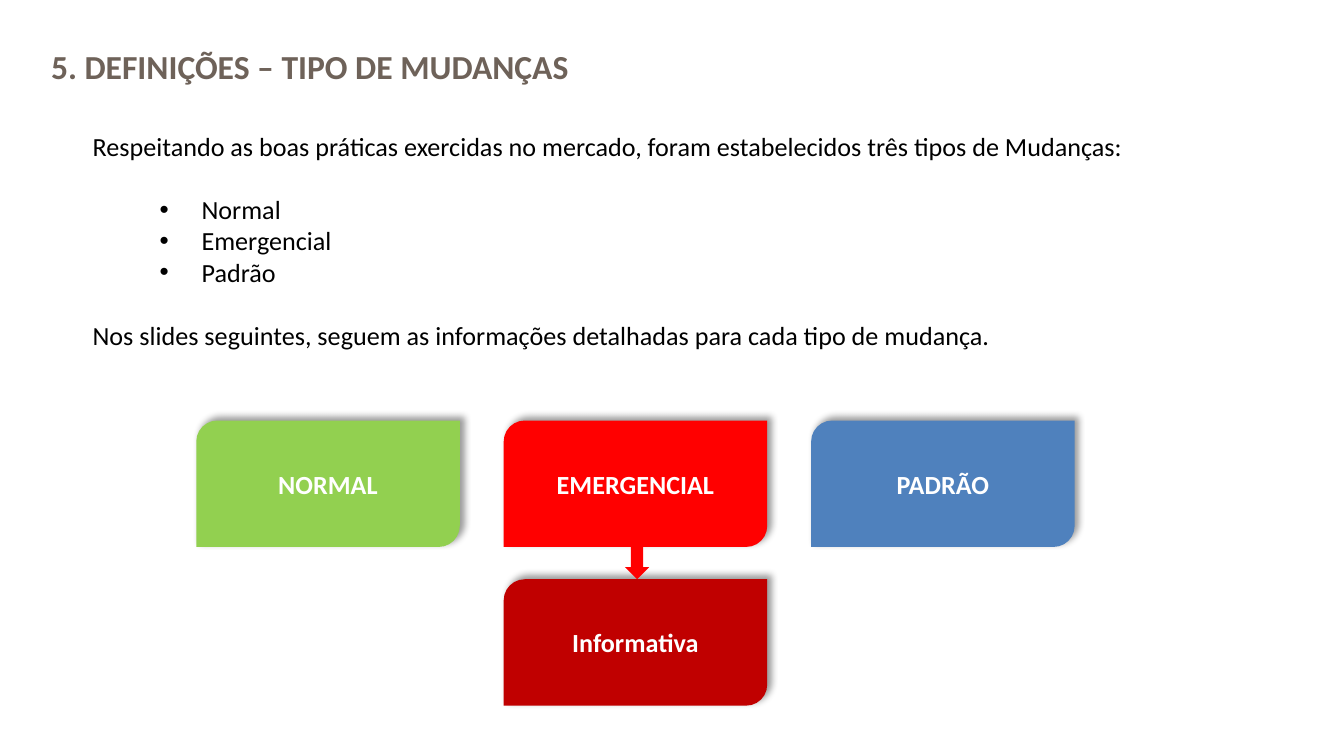
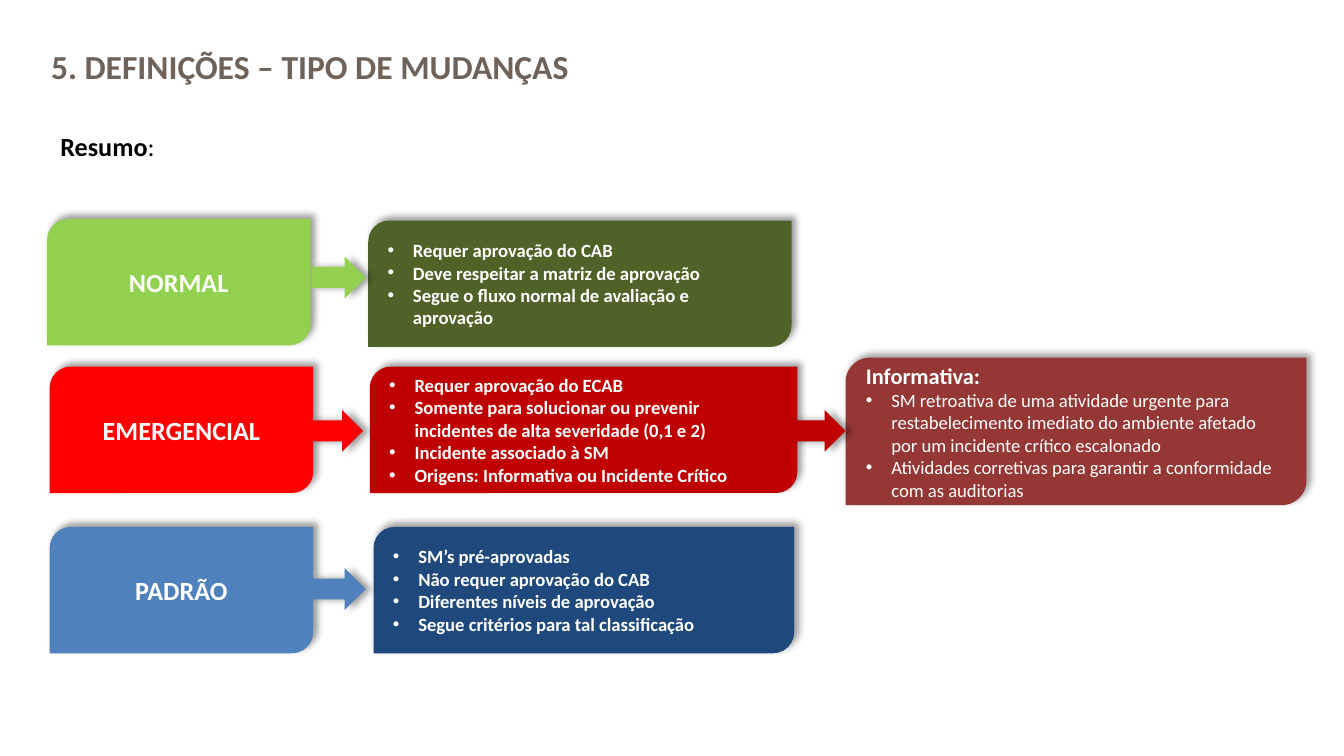
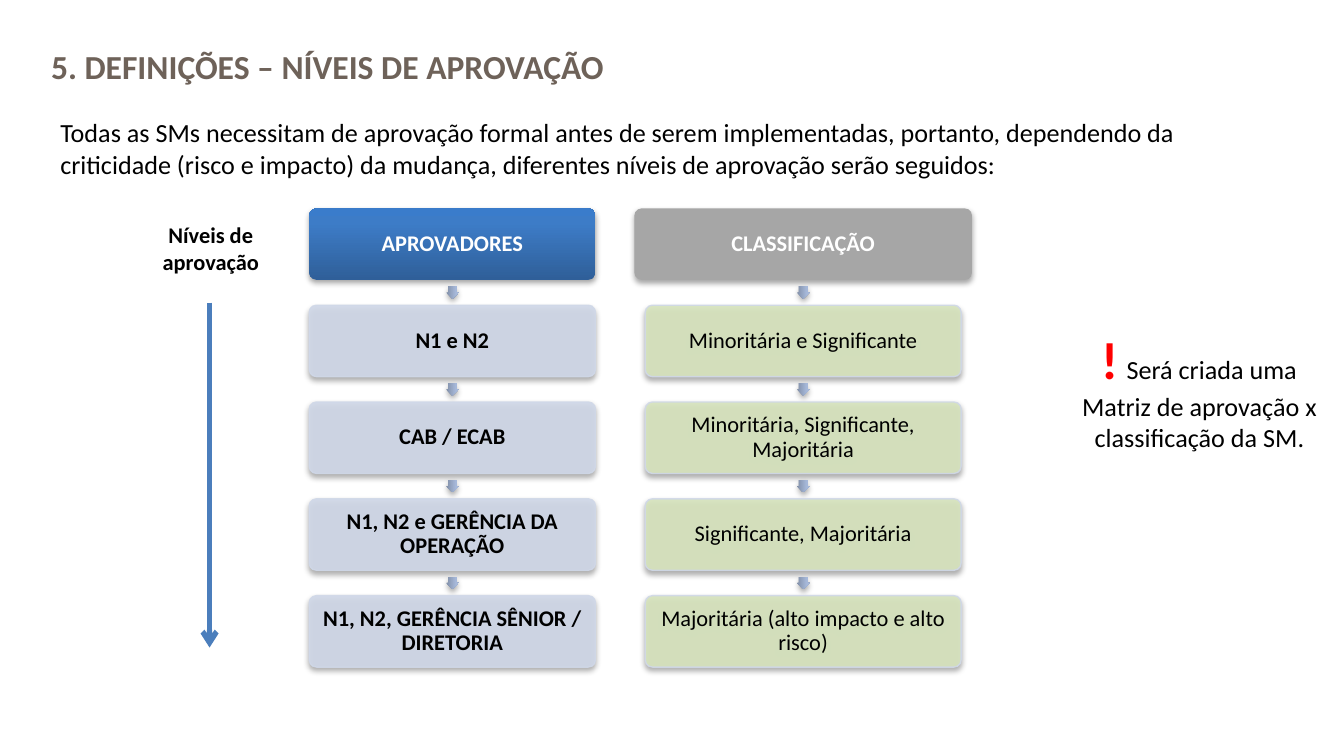
import pptx
import pptx.dml.color
import pptx.enum.shapes
import pptx.enum.text
import pptx.oxml
import pptx.oxml.ns
import pptx.util
from lxml import etree

Cm, Pt = pptx.util.Cm, pptx.util.Pt
SHAPE = pptx.enum.shapes.MSO_SHAPE
ALIGN = pptx.enum.text.PP_ALIGN
ANCHOR = pptx.enum.text.MSO_ANCHOR
qn = pptx.oxml.ns.qn

# Shared look
FONT = "Calibri"
TITLE, BLACK, WHITE = "6E6259", "000000", "FFFFFF"
GREEN, RED, DARK_RED, BLUE = "92D050", "FF0000", "C00000", "4F81BD"
CARD_SIZE = (4.98, 2.39)
ARROW_SIZE = (1.02, 0.79)
CARD_SHADOW = (40, 4, 3, 315)     # opacity %, blur pt, distance pt, angle
ARROW_SHADOW = (40, 4, 3, 0)
LEVEL_SHADOW = (35, 3.1, 1.8, 90)

# Content: places are in cm
TYPES_TITLE = "5. DEFINIÇÕES – TIPO DE MUDANÇAS"
LEVELS_TITLE = "5. DEFINIÇÕES – NÍVEIS DE APROVAÇÃO"

TYPES_INTRO = "Respeitando as boas práticas exercidas no mercado, foram estabelecidos três tipos de Mudanças:"
TYPES = ["Normal", "Emergencial", "Padrão"]
TYPES_CLOSING = "Nos slides seguintes, seguem as informações detalhadas para cada tipo de mudança."
TYPE_COLOURS = [GREEN, RED, BLUE]

SUMMARY = [
    # type place, arrow place, details place and width, details colour, details
    ((0.89, 4.14), (5.89, 4.85), (6.96, 4.17, 8.0), "4F6228",
     ["Requer aprovação do CAB", "Deve respeitar a matriz de aprovação",
      "Segue o fluxo normal de avaliação e aprovação"]),
    ((0.94, 6.93), (5.84, 7.75), (6.99, 6.93, 8.08), DARK_RED,
     ["Requer aprovação do ECAB",
      "Somente para solucionar ou prevenir incidentes de alta severidade (0,1 e 2)",
      "Incidente associado à SM", "Origens: Informativa ou Incidente Crítico"]),
    ((0.94, 9.96), (5.89, 10.74), (7.06, 9.96, 7.95), "1F497D",
     ["SM’s pré-aprovadas", "Não requer aprovação do CAB",
      "Diferentes níveis de aprovação", "Segue critérios para tal classificação"]),
]
INFORMATIVE = [
    "SM retroativa de uma atividade urgente para restabelecimento imediato do ambiente "
    "afetado por um incidente crítico escalonado",
    "Atividades corretivas para garantir a conformidade com as auditorias",
]

LEVELS_INTRO = ("Todas as SMs necessitam de aprovação formal antes de serem implementadas, "
                "portanto, dependendo da criticidade (risco e impacto) da mudança, "
                "diferentes níveis de aprovação serão seguidos:")
HEADER_GRADIENT = [(0, "2F5F99"), (80, "3D7CC7"), (100, "3A7CCB")]
STEP_GRADIENT = [(0, "818FA8"), (80, "A7B9DA"), (100, "A7BADC")]
LEVEL_COLUMNS = [
    {"centre": 8.55, "header_width": 5.41, "width": 5.41, "header_fill": HEADER_GRADIENT,
     "fill": "D0D8E8", "bold": True, "header": "APROVADORES",
     "levels": ["N1 e N2", "CAB / ECAB", "N1, N2 e GERÊNCIA DA OPERAÇÃO",
                "N1, N2, GERÊNCIA SÊNIOR / DIRETORIA"]},
    {"centre": 15.18, "header_width": 6.38, "width": 5.97, "header_fill": "A6A6A6",
     "fill": "D7E4BD", "bold": False, "header": "CLASSIFICAÇÃO",
     "levels": ["Minoritária e Significante", "Minoritária, Significante, Majoritária",
                "Significante, Majoritária", "Majoritária (alto impacto e alto risco)"]},
]
MATRIX_NOTE = [("!", 28, RED, True), (" ", 18, BLACK, False),
               ("Será criada uma Matriz de aprovação x classificação da SM.", 14, BLACK, False)]


def rgb(colour):
    return pptx.dml.color.RGBColor.from_string(colour)


def set_font(font, size, colour, bold=False):
    font.name, font.size, font.bold = FONT, Pt(size), bold
    font.color.rgb = rgb(colour)


def para(text, size=14, colour=BLACK, bold=False, **options):
    """A paragraph: text is a string, or a list of (text, size, colour, bold) runs."""
    return {"text": text, "font": (size, colour, bold), **options}


def write(frame, paragraphs, align=ALIGN.LEFT):
    for i, item in enumerate(paragraphs):
        paragraph = frame.paragraphs[0] if i == 0 else frame.add_paragraph()
        paragraph.alignment = align
        if "before" in item:
            paragraph.space_before = Pt(item["before"])
        if "spacing" in item:
            paragraph.line_spacing = item["spacing"]
        if "bullet" in item:
            margin, hanging = item["bullet"]
            properties = paragraph._p.get_or_add_pPr()
            properties.set("marL", str(Cm(margin)))
            properties.set("indent", str(-Cm(hanging)))
            etree.SubElement(properties, qn("a:buFont"), typeface="Arial")
            etree.SubElement(properties, qn("a:buChar"), char="•")
        if isinstance(item["text"], str):
            paragraph.add_run().text = item["text"]
            set_font(paragraph.font, *item["font"])
        else:
            for text, *font in item["text"]:
                run = paragraph.add_run()
                run.text = text
                set_font(run.font, *font)


def add_slide(title, width):
    slide = deck.slides.add_slide(deck.slide_layouts[5])
    heading = slide.shapes.title
    heading.left, heading.top, heading.width, heading.height = Cm(0.71), Cm(0.74), Cm(width), Cm(1.02)
    frame = heading.text_frame
    frame.word_wrap = False
    frame.auto_size = pptx.enum.text.MSO_AUTO_SIZE.SHAPE_TO_FIT_TEXT
    frame.vertical_anchor = ANCHOR.TOP
    write(frame, [para(title, 18, TITLE, True)])
    return slide


def add_text(slide, place, paragraphs, align=ALIGN.LEFT):
    frame = slide.shapes.add_textbox(*map(Cm, place)).text_frame
    frame.word_wrap = True
    frame.auto_size = pptx.enum.text.MSO_AUTO_SIZE.SHAPE_TO_FIT_TEXT
    write(frame, paragraphs, align)


def add_block(slide, kind, place, fill, shadow=None, outline=None, opacity=None):
    block = slide.shapes.add_shape(kind, *map(Cm, place))
    properties = block._element.spPr
    if isinstance(fill, str):
        block.fill.solid()
        block.fill.fore_color.rgb = rgb(fill)
    else:
        block.fill.gradient()
        block.fill.gradient_angle = 90
        stops = properties.find(".//" + qn("a:gsLst"))
        stops.clear()
        for position, colour in fill:
            stop = etree.SubElement(stops, qn("a:gs"), pos=str(position * 1000))
            etree.SubElement(stop, qn("a:srgbClr"), val=colour)
    if outline:
        block.line.color.rgb = rgb(outline)
        block.line.width = Pt(0.75)
    else:
        block.line.fill.background()
    if opacity:
        for colour in properties.iter(qn("a:srgbClr")):
            etree.SubElement(colour, qn("a:alpha"), val=str(opacity * 1000))
    block.shadow.inherit = False
    if shadow:
        strength, blur, distance, angle = shadow
        outer = etree.SubElement(
            properties.find(qn("a:effectLst")), qn("a:outerShdw"), blurRad=str(Pt(blur)),
            dist=str(Pt(distance)), dir=str(angle * 60000), algn="ctr", rotWithShape="0")
        colour = etree.SubElement(outer, qn("a:srgbClr"), val=BLACK)
        etree.SubElement(colour, qn("a:alpha"), val=str(strength * 1000))
    return block


def add_card(slide, place, fill, paragraphs, align=ALIGN.LEFT):
    card = add_block(slide, SHAPE.ROUND_2_DIAG_RECTANGLE, place, fill, CARD_SHADOW)
    card.text_frame.word_wrap = True
    card.text_frame.vertical_anchor = ANCHOR.MIDDLE
    write(card.text_frame, paragraphs, align)


def add_type(slide, place, fill, name):
    add_card(slide, (*place, *CARD_SIZE), fill, [para(name, 14, WHITE, True)], ALIGN.CENTER)


def add_arrow(slide, place, fill):
    add_block(slide, SHAPE.RIGHT_ARROW, (*place, *ARROW_SIZE), fill, ARROW_SHADOW)


def card_bullets(texts, bold):
    return [para(text, 10, WHITE, bold, bullet=(0.48, 0.48)) for text in texts]


def add_level(slide, centre, top, width, fill, text, colour, bold, **look):
    level = add_block(slide, SHAPE.ROUNDED_RECTANGLE, (centre - width / 2, top, width, 1.35),
                      fill, LEVEL_SHADOW, **look)
    level.adjustments[0] = 0.1
    frame = level.text_frame
    frame.word_wrap = True
    frame.vertical_anchor = ANCHOR.MIDDLE
    frame.margin_left = frame.margin_right = frame.margin_top = frame.margin_bottom = Cm(0.05)
    write(frame, [para(text, 12, colour, bold, spacing=0.9)], ALIGN.CENTER)


def build_types():
    slide = add_slide(TYPES_TITLE, 13.54)
    left, top, pitch = 3.71, 7.95, 5.81
    for i, (name, colour) in enumerate(zip(TYPES, TYPE_COLOURS)):
        add_type(slide, (left + i * pitch, top), colour, name.upper())
    add_type(slide, (left + pitch, 10.95), DARK_RED, "Informativa")
    add_block(slide, SHAPE.DOWN_ARROW, (11.81, 10.34, 0.46, 0.61), RED)

    # One blank line's height before the list and before the closing sentence
    gap = 17
    names = [para(name, bullet=(2.06, 0.79)) for name in TYPES]
    names[0]["before"] = gap
    add_text(slide, (1.5, 2.34, 20.4, 4.45),
             [para(TYPES_INTRO), *names, para(TYPES_CLOSING, before=gap)])


def build_summary():
    slide = add_slide(TYPES_TITLE, 13.54)
    add_text(slide, (0.89, 2.34, 20.4, 0.86),
             [para([("Resumo", 14, BLACK, True), (":", 14, BLACK, False)])])
    for name, colour, row in zip(TYPES, TYPE_COLOURS, SUMMARY):
        type_place, arrow_place, details_place, details_colour, details = row
        add_type(slide, type_place, colour, name.upper())
        add_card(slide, (*details_place, CARD_SIZE[1]), details_colour, card_bullets(details, True))
        add_arrow(slide, arrow_place, colour)
    add_card(slide, (15.98, 6.76, 8.71, 2.79), "953735",
             [para("Informativa:", 12, WHITE, True), *card_bullets(INFORMATIVE, False)])
    add_arrow(slide, (14.96, 7.75), DARK_RED)


def build_levels():
    slide = add_slide(LEVELS_TITLE, 14.55)
    add_text(slide, (0.89, 2.08, 22.2, 2.64), [para(LEVELS_INTRO)])

    # Two columns of levels joined by small arrows
    top, pitch, step = 3.94, 1.83, 0.24
    for column in LEVEL_COLUMNS:
        centre = column["centre"]
        add_level(slide, centre, top, column["header_width"], column["header_fill"],
                  column["header"], WHITE, True)
        for i, text in enumerate(column["levels"]):
            arrow = add_block(slide, SHAPE.RIGHT_ARROW,
                              (centre - step / 2, top + i * pitch + 1.47, step, step),
                              STEP_GRADIENT, LEVEL_SHADOW)
            arrow.rotation = 90
            arrow.adjustments[0] = 0.67
            add_level(slide, centre, top + (i + 1) * pitch, column["width"], column["fill"],
                      text, BLACK, column["bold"], outline="D0D8E8", opacity=90)

    # Direction of the levels
    direction = slide.shapes.add_connector(pptx.enum.shapes.MSO_CONNECTOR.STRAIGHT,
                                           Cm(3.96), Cm(5.72), Cm(3.96), Cm(12.24))
    direction.line.color.rgb = rgb("4B7EBC")
    direction.line.width = Pt(2.75)
    etree.SubElement(direction.line._get_or_add_ln(), qn("a:tailEnd"), type="arrow")
    etree.SubElement(direction._element.spPr, qn("a:effectLst"))
    add_text(slide, (2.31, 4.06, 3.35, 1.27),
             [para("Níveis de aprovação", 12, BLACK, True)], ALIGN.CENTER)
    add_text(slide, (20.09, 6.07, 5.16, 2.64), [para(MATRIX_NOTE)], ALIGN.CENTER)


deck = pptx.Presentation()
deck.slide_width, deck.slide_height = Cm(25.4), Cm(14.29)
build_types()
build_summary()
build_levels()
deck.save("out.pptx")
